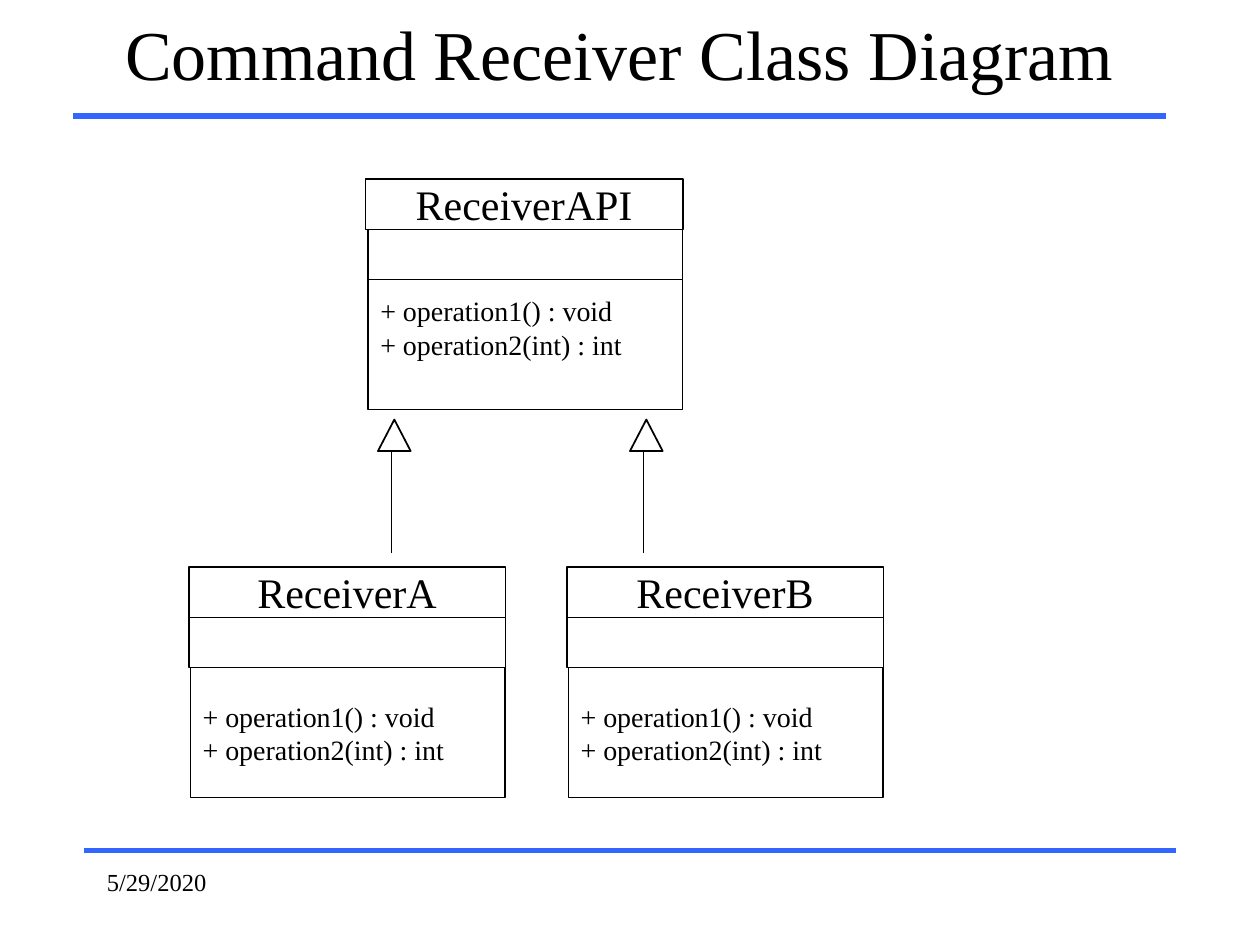
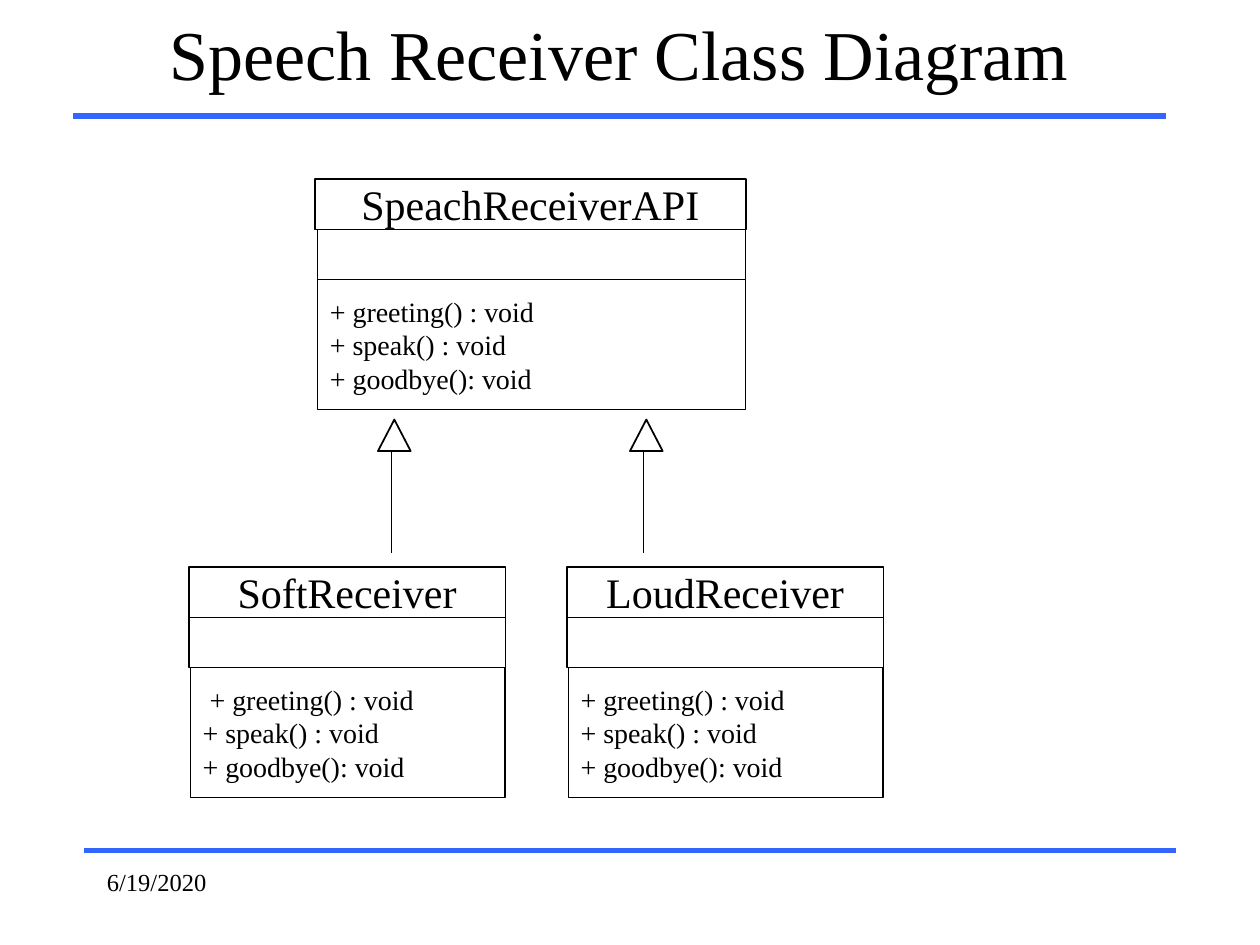
"""Builds two slides of receiver class diagrams."""
from lxml import etree
from pptx import Presentation
from pptx import util as u
from pptx.dml.color import RGBColor
from pptx.enum import shapes, text
from pptx.oxml.ns import qn

FONT, BLACK, WHITE, BLUE = "Times New Roman", "000000", "FFFFFF", "3366FF"
OPERATIONS = ["+ operation1() : void", "+ operation2(int) : int"]
SPEECH = ["+ greeting() : void", "+ speak() : void", "+ goodbye(): void"]
SOFT_SPEECH = [" + greeting() : void", *SPEECH[1:]]

DIAGRAMS = [
    {"title": "Command Receiver Class Diagram", "date": "5/29/2020",
     "parent": ("ReceiverAPI", OPERATIONS, 2.9, 2.52),
     "children": [("ReceiverA", OPERATIONS), ("ReceiverB", OPERATIONS)]},
    {"title": "Speech Receiver Class Diagram", "date": "6/19/2020",
     "parent": ("SpeachReceiverAPI", SPEECH, 2.5, 3.42),
     "children": [("SoftReceiver", SOFT_SPEECH), ("LoudReceiver", SPEECH)]},
]

RULES = [(0.67, 6.75, 9.33), (0.58, 0.92, 9.25)]
PARENT_TOP, CHILD_TOP = 1.42, 4.5
CHILD_LEFT, CHILD_STEP, CHILD_WIDTH = 1.5, 3, 2.51
ARROW_LEFT, ARROW_STEP = 3, 2
ROW_HEIGHT, METHODS_HEIGHT = 0.4, 1.03
INSET, LINE_HEIGHT, PARENT_LINES = 0.05, 0.27, 3


def color(value):
    return RGBColor.from_string(value)


def inches(*values):
    return [u.Inches(value) for value in values]


def write(box, lines, size, align=text.PP_ALIGN.LEFT, anchor=text.MSO_ANCHOR.MIDDLE):
    frame = box.text_frame
    frame.text = "\n".join(lines)
    frame.word_wrap = True
    frame.auto_size = text.MSO_AUTO_SIZE.NONE
    frame.vertical_anchor = anchor
    for para in frame.paragraphs:
        para.alignment = align
        para.font.name = FONT
        para.font.size = u.Pt(size)
        para.font.color.rgb = color(BLACK)
    return frame


def add_line(parent, start, end, value, width):
    line = parent.shapes.add_connector(
        shapes.MSO_CONNECTOR.STRAIGHT, *inches(*start, *end))
    line.line.color.rgb = color(value)
    line.line.width = u.Pt(width)
    etree.SubElement(line._element.spPr, qn("a:effectLst"))


def add_outline(parent, kind, place, width=0.75):
    box = parent.shapes.add_shape(kind, *inches(*place))
    box.shadow.inherit = False
    box.fill.solid()
    box.fill.fore_color.rgb = color(WHITE)
    box.line.color.rgb = color(BLACK)
    box.line.width = u.Pt(width)
    return box


def add_class(page, name, methods, left, top, width, is_parent=False):
    group = page.shapes.add_group_shape()
    methods_indent = 0.02 if is_parent else 0.01
    fields_indent = methods_indent if is_parent else 0
    rows = [("name", 0, 0, ROW_HEIGHT),
            ("fields", fields_indent, ROW_HEIGHT, ROW_HEIGHT),
            ("methods", methods_indent, 2 * ROW_HEIGHT, METHODS_HEIGHT)]
    if is_parent:
        rows = rows[1:] + rows[:1]
    for row, indent, drop, height in rows:
        box = add_outline(group, shapes.MSO_SHAPE.RECTANGLE,
                          (left + indent, top + drop, width - indent, height))
        if row == "name":
            write(box, [name], 24, text.PP_ALIGN.CENTER)
        elif row == "methods":
            frame = write(box, methods, 16)
            if is_parent:
                missing = PARENT_LINES - len(methods)
                frame.margin_bottom = u.Inches(INSET + missing * LINE_HEIGHT)


def add_inheritance(page, left):
    group = page.shapes.add_group_shape()
    add_line(group, (left + 0.11, 4.39), (left + 0.11, 3.47), BLACK, 0.5)
    add_outline(group, shapes.MSO_SHAPE.ISOSCELES_TRIANGLE,
                (left, 3.33, 0.26, 0.25), 1)


def add_page(deck, diagram):
    page = deck.slides.add_slide(deck.slide_layouts[5])
    for left, top, right in RULES:
        add_line(page, (left, top), (right, top), BLUE, 3)
    title = page.shapes.title
    title.left, title.top, title.width, title.height = inches(0.58, 0, 8.67, 0.83)
    write(title, [diagram["title"]], 40, text.PP_ALIGN.CENTER)
    date = page.shapes.add_textbox(*inches(0.75, 6.83, 2.08, 0.5))
    write(date, [diagram["date"]], 14, anchor=text.MSO_ANCHOR.TOP)

    name, methods, left, width = diagram["parent"]
    add_class(page, name, methods, left, PARENT_TOP, width, is_parent=True)
    for index, (name, methods) in enumerate(diagram["children"]):
        add_class(page, name, methods, CHILD_LEFT + index * CHILD_STEP,
                  CHILD_TOP, CHILD_WIDTH)
        add_inheritance(page, ARROW_LEFT + index * ARROW_STEP)


def main():
    deck = Presentation()
    deck.slide_width, deck.slide_height = inches(10, 7.5)
    for diagram in DIAGRAMS:
        add_page(deck, diagram)
    deck.save("out.pptx")


if __name__ == "__main__":
    main()
